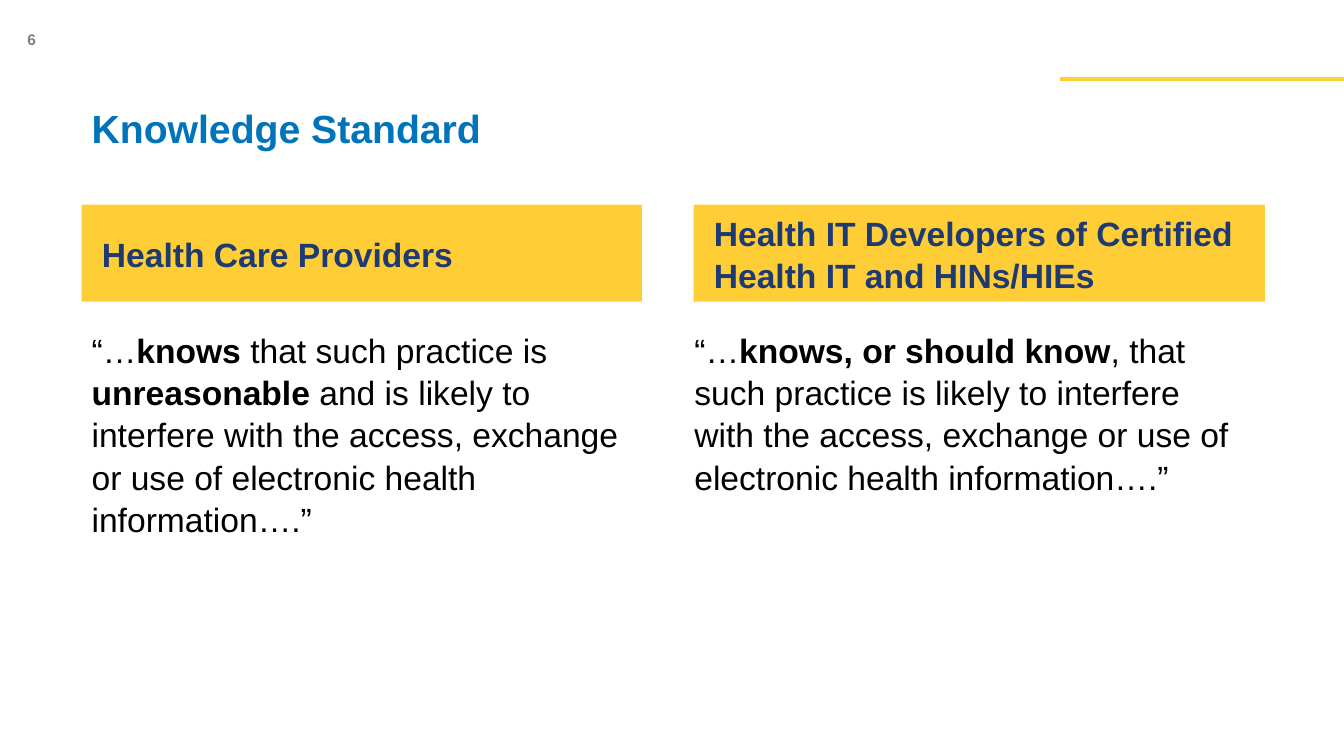
from dataclasses import dataclass

from lxml.etree import SubElement
from pptx import Presentation
from pptx.dml.color import RGBColor
from pptx.enum.shapes import MSO_CONNECTOR, MSO_SHAPE
from pptx.enum.text import MSO_ANCHOR, PP_ALIGN
from pptx.oxml.ns import qn
from pptx.shapes.base import BaseShape
from pptx.slide import Slide
from pptx.text.text import _Paragraph as Para
from pptx.util import Cm, Pt

COLORS = {"gold": "FFCD35", "navy": "1E3A72", "blue": "0074BB",
          "gray": "808080", "black": "000000"}
WIDTH, HEIGHT = 33.87, 19.05
HEAD_TOP, HEAD_TALL = 5.16, 2.44
BODY_TOP, BODY_TALL, BODY_WIDE = 8.13, 9.86, 14.12


@dataclass
class Column:
    head: str
    head_left: float
    head_wide: float
    body_left: float
    quote: list[tuple[str, bool]]  # text, bold


COLUMNS = [
    Column("Health Care Providers", 2.06, 14.12, 2.06, [
        ("“…", False), ("knows", True), (" that such practice is ", False),
        ("unreasonable ", True),
        ("and is likely to interfere with the access, exchange or use of "
         "electronic health information….”", False)]),
    Column("Health IT Developers of Certified Health IT and HINs/HIEs",
           17.48, 14.4, 17.25, [
               ("“…", False), ("knows, or should know", True),
               (", that such practice is likely to interfere with the access, "
                "exchange or use of electronic health information….”", False)]),
]


def color(name: str) -> RGBColor:
    return RGBColor.from_string(COLORS[name])


def style(shape: BaseShape, size: float, tint: str, anchor: MSO_ANCHOR,
          space: float = 1.0) -> Para:
    """Set up the text frame and return its styled first paragraph."""
    frame = shape.text_frame
    frame.word_wrap = True
    frame.vertical_anchor = anchor
    para = frame.paragraphs[0]
    para.alignment = PP_ALIGN.LEFT
    para.line_spacing = space
    para.font.name = "Arial"
    para.font.size = Pt(size)
    para.font.color.rgb = color(tint)
    return para


def add_box(slide: Slide, left: float, top: float, wide: float,
            tall: float) -> BaseShape:
    return slide.shapes.add_textbox(Cm(left), Cm(top), Cm(wide), Cm(tall))


def add_label(para: Para, text: str) -> None:
    para.font.bold = True
    para.add_run().text = text


def add_column(slide: Slide, col: Column) -> None:
    # Heading band
    band = slide.shapes.add_shape(
        MSO_SHAPE.RECTANGLE, Cm(col.head_left), Cm(HEAD_TOP),
        Cm(col.head_wide), Cm(HEAD_TALL))
    band.shadow.inherit = False
    band.fill.solid()
    band.fill.fore_color.rgb = color("gold")
    band.line.fill.background()
    frame = band.text_frame
    frame.margin_left = frame.margin_right = Cm(0.51)
    add_label(style(band, 24, "navy", MSO_ANCHOR.MIDDLE, 1.05), col.head)

    # Quotation
    body = add_box(slide, col.body_left, BODY_TOP, BODY_WIDE, BODY_TALL)
    para = style(body, 24, "black", MSO_ANCHOR.TOP, 1.05)
    for text, bold in col.quote:
        run = para.add_run()
        run.text = text
        run.font.bold = bold


def main() -> None:
    deck = Presentation()
    deck.slide_width, deck.slide_height = Cm(WIDTH), Cm(HEIGHT)
    slide = deck.slides.add_slide(deck.slide_layouts[6])

    # Page number
    page = add_box(slide, -0.08, 0.48, 1.24, 1.02)
    para = style(page, 11, "gray", MSO_ANCHOR.MIDDLE)
    para.alignment = PP_ALIGN.RIGHT
    add_label(para, "6")

    # Accent rule
    rule = slide.shapes.add_connector(
        MSO_CONNECTOR.STRAIGHT, Cm(26.72), Cm(1.98), Cm(WIDTH), Cm(1.98))
    rule.line.color.rgb = color("gold")
    rule.line.width = Pt(2.75)
    SubElement(rule._element.spPr, qn("a:effectLst"))

    # Title
    title = add_box(slide, 2.06, 1.65, 24.08, 2.31)
    add_label(style(title, 28, "blue", MSO_ANCHOR.BOTTOM, 0.9),
              "Knowledge Standard")

    # Columns
    for col in COLUMNS:
        add_column(slide, col)

    deck.save("out.pptx")


if __name__ == "__main__":
    main()
